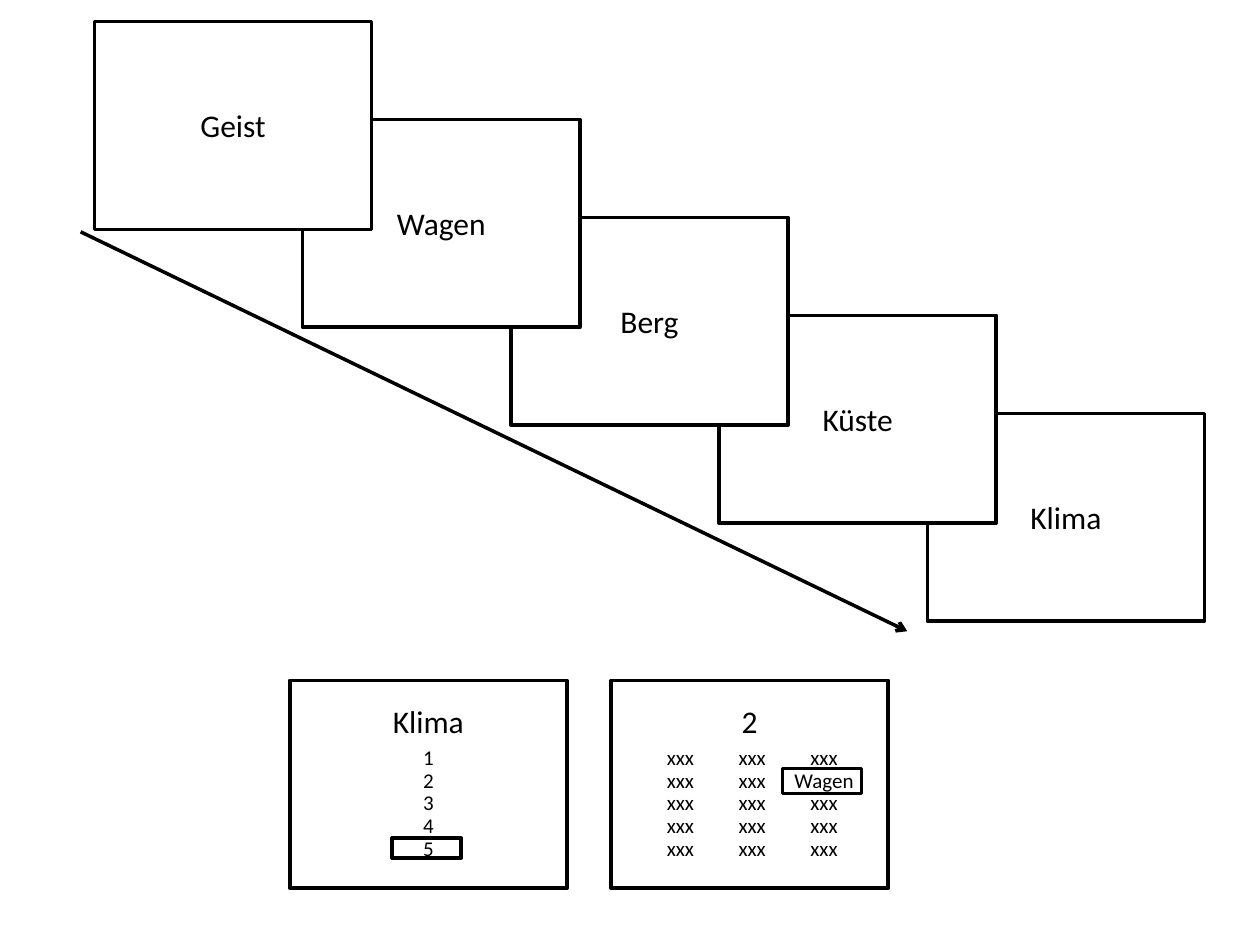
from pptx import Presentation
from pptx.dml.color import RGBColor
from pptx.enum.shapes import MSO_CONNECTOR, MSO_SHAPE
from pptx.enum.text import MSO_AUTO_SIZE, PP_ALIGN
from pptx.oxml.ns import qn
from pptx.util import Inches, Pt
from lxml.etree import SubElement

BLACK = RGBColor(0x00, 0x00, 0x00)
WHITE = RGBColor(0xFF, 0xFF, 0xFF)

CARD_W, CARD_H = 2.2, 1.65
WORDS = ["Geist", "Wagen", "Berg", "Küste", "Klima"]
FIRST_CARD, LAST_CARD = (0.75, 0.17), (7.36, 3.28)
ROW_TOP, ROW_STEP, ROWS = 5.86, 0.18, 5
COLUMN_STEP = 0.57

LARGE = {"size": Pt(18), "name": "Calibri"}
SMALL = {"size": Pt(12), "name": "Calibri"}
LARGE_WIDTHS = {"Geist": 0.73, "Wagen": 0.92, "Berg": 0.67,
                "Küste": 0.77, "Klima": 0.77, "2": 0.33}
SMALL_WIDTHS = {"xxx": 0.42, "Wagen": 0.68}
DIGIT_WIDTH = 0.29


def add_box(s, x, y, w, h, fill=None):
    sp = s.shapes.add_shape(MSO_SHAPE.RECTANGLE, Inches(x), Inches(y), Inches(w), Inches(h))
    sp.shadow.inherit = False
    if fill is None:
        sp.fill.background()
    else:
        sp.fill.solid()
        sp.fill.fore_color.rgb = fill
    sp.line.color.rgb = BLACK
    sp.line.width = Pt(2)


def add_label(s, text, center, y, w, h, font):
    sp = s.shapes.add_textbox(Inches(center - w / 2), Inches(y), Inches(w), Inches(h))
    tf = sp.text_frame
    tf.word_wrap = False
    tf.auto_size = MSO_AUTO_SIZE.SHAPE_TO_FIT_TEXT
    p = tf.paragraphs[0]
    p.alignment = PP_ALIGN.CENTER
    r = p.add_run()
    r.text = text
    for key, value in font.items():
        setattr(r.font, key, value)
    r.font.color.rgb = BLACK


def add_card(s, x, y, text, text_offset):
    add_box(s, x, y, CARD_W, CARD_H, WHITE)
    add_label(s, text, x + CARD_W / 2, y + text_offset, LARGE_WIDTHS[text], 0.4, LARGE)


def add_column(s, center, texts):
    for row, text in enumerate(texts):
        width = SMALL_WIDTHS.get(text, DIGIT_WIDTH)
        add_label(s, text, center, ROW_TOP + row * ROW_STEP, width, 0.3, SMALL)


def add_arrow(s, x1, y1, x2, y2):
    line = s.shapes.add_connector(MSO_CONNECTOR.STRAIGHT, Inches(x1), Inches(y1),
                                  Inches(x2), Inches(y2))
    line.line.color.rgb = BLACK
    line.line.width = Pt(2)
    SubElement(line.line._get_or_add_ln(), qn("a:tailEnd"), type="arrow")
    SubElement(line._element.spPr, qn("a:effectLst"))


def main():
    prs = Presentation()
    prs.slide_width, prs.slide_height = Inches(10), Inches(7.5)
    s = prs.slides.add_slide(prs.slide_layouts[6])

    # Staircase of word cards, the first one in front
    last = len(WORDS) - 1
    for i in range(last, -1, -1):
        x, y = (a + (b - a) * i / last for a, b in zip(FIRST_CARD, LAST_CARD))
        add_card(s, x, y, WORDS[i], 0.62)

    # Time arrow
    add_arrow(s, 0.64, 1.84, 7.2, 5.01)

    # Position question with the chosen number
    add_card(s, 2.3, 5.4, "Klima", 0.12)
    add_column(s, 3.4, [str(n) for n in range(1, ROWS + 1)])
    add_box(s, 3.11, 6.65, 0.55, 0.16)

    # Word question with the chosen word
    add_card(s, 4.85, 5.4, "2", 0.12)
    for column in range(3):
        texts = ["xxx"] * ROWS
        if column == 2:
            texts[1] = "Wagen"
        add_column(s, 5.4 + column * COLUMN_STEP, texts)
    add_box(s, 6.21, 6.1, 0.63, 0.2)

    prs.save("out.pptx")


if __name__ == "__main__":
    main()
